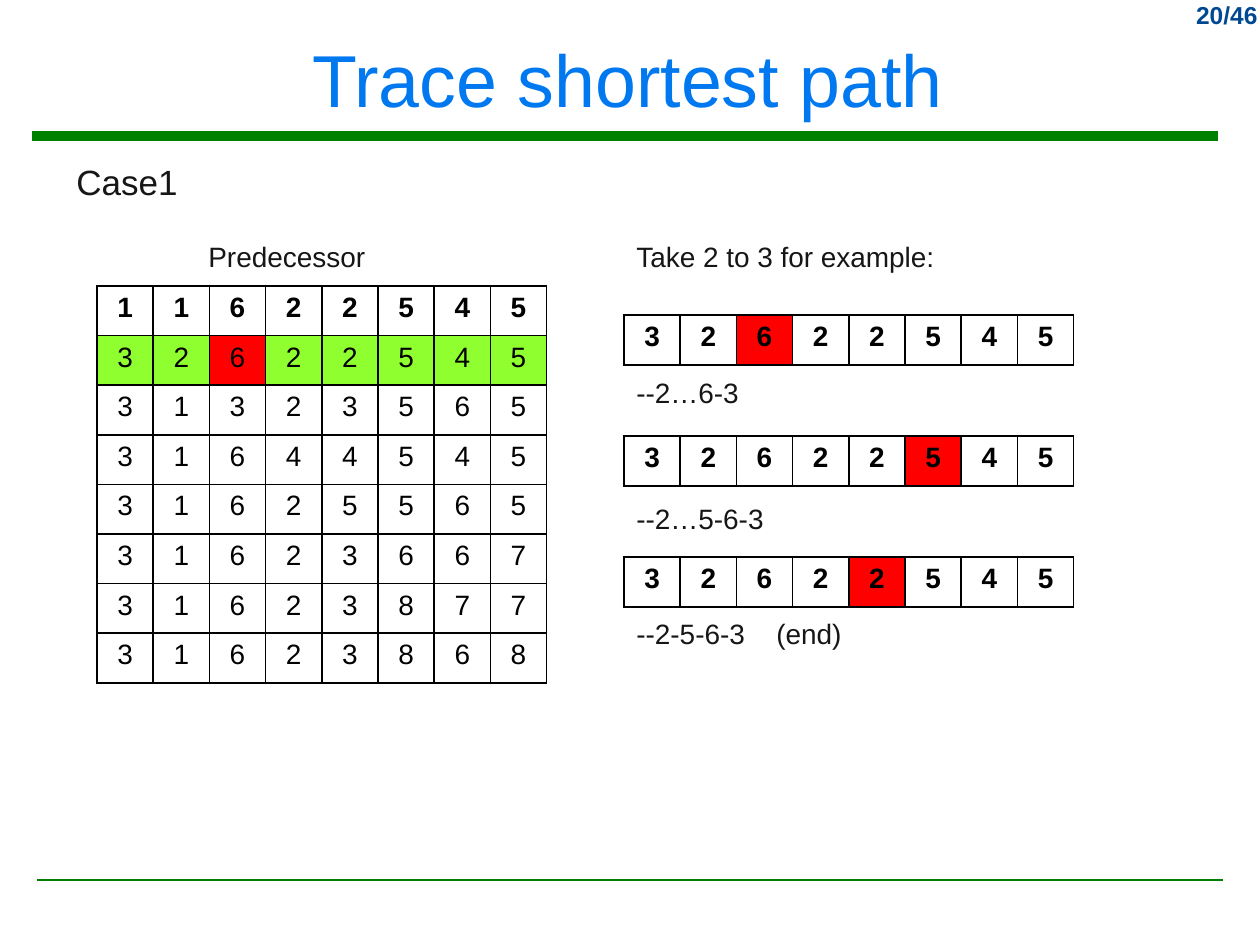
from dataclasses import dataclass

import pptx
import pptx.dml.color
import pptx.enum.shapes
import pptx.enum.text
import pptx.oxml
import pptx.oxml.ns
import pptx.util

EMU_PER_PX = 914400 / 126
ALIGN = pptx.enum.text.PP_ALIGN
ANCHOR = pptx.enum.text.MSO_ANCHOR
NS = pptx.oxml.ns.nsdecls("a")


@dataclass(frozen=True)
class Theme:
    font: str = "Arial"
    title: str = "0078F0"
    text: str = "161616"
    cell: str = "000000"
    page: str = "004992"
    rule: str = "008000"
    row_mark: str = "8FFF30"
    cell_mark: str = "FF0000"
    title_size: int = 42
    heading_size: int = 20
    body_size: int = 16
    page_size: int = 14


THEME = Theme()

PREDECESSORS = [
    "11622545",
    "32622545",
    "31323565",
    "31644545",
    "31625565",
    "31623667",
    "31623877",
    "31623868",
]
MARKED_ROW = 1
MARKED_COL = 2

STEPS = [
    (315, 2, 369, 130, "--2…6-3"),
    (436, 5, 495, 155, "--2…5-6-3"),
    (557, 4, 610, 233, "--2-5-6-3\t(end)"),
]


def px(n):
    return pptx.util.Emu(round(n * EMU_PER_PX))


def rgb(color):
    return pptx.dml.color.RGBColor.from_string(color)


def write(tf, text, size=THEME.body_size, color=THEME.text, bold=False,
          align=ALIGN.LEFT, tab=None):
    p = tf.paragraphs[0]
    p.alignment = align
    if tab:
        p._p.get_or_add_pPr().append(pptx.oxml.parse_xml(
            f'<a:tabLst {NS}><a:tab pos="{px(tab)}" algn="l"/></a:tabLst>'))
    r = p.add_run()
    r.text = text
    r.font.name = THEME.font
    r.font.size = pptx.util.Pt(size)
    r.font.bold = bold
    r.font.color.rgb = rgb(color)


def add_text(s, x, y, w, h, text, wrap=False, **fmt):
    tf = s.shapes.add_textbox(px(x), px(y), px(w), px(h)).text_frame
    tf.word_wrap = wrap
    tf.auto_size = pptx.enum.text.MSO_AUTO_SIZE.SHAPE_TO_FIT_TEXT
    write(tf, text, **fmt)


def add_title(s, text):
    sp = s.shapes.title
    sp.left, sp.top, sp.width, sp.height = px(10), px(11), px(1235), px(134)
    sp.text_frame.vertical_anchor = ANCHOR.MIDDLE
    write(sp.text_frame, text, size=THEME.title_size, color=THEME.title,
          align=ALIGN.CENTER)


def add_rule(s, x1, x2, y, width):
    line = s.shapes.add_connector(
        pptx.enum.shapes.MSO_CONNECTOR.STRAIGHT, px(x1), px(y), px(x2), px(y))
    line.line.color.rgb = rgb(THEME.rule)
    line.line.width = pptx.util.Pt(width)
    line._element.spPr.append(pptx.oxml.parse_xml(f"<a:effectLst {NS}/>"))


def format_cell(cell, fill):
    if fill:
        cell.fill.solid()
        cell.fill.fore_color.rgb = rgb(fill)
    else:
        cell.fill.background()
    tc_pr = cell._tc.get_or_add_tcPr()
    for i, side in enumerate(("lnL", "lnR", "lnT", "lnB")):
        tc_pr.insert(i, pptx.oxml.parse_xml(
            f'<a:{side} {NS} w="{pptx.util.Pt(1)}"><a:solidFill>'
            f'<a:srgbClr val="{THEME.cell}"/></a:solidFill></a:{side}>'))


def add_grid(s, x, y, w, h, rows, fills):
    table = s.shapes.add_table(
        len(rows), len(rows[0]), px(x), px(y), px(w), px(h)).table
    table.first_row = False
    table.horz_banding = False
    for i, row in enumerate(rows):
        for j, value in enumerate(row):
            cell = table.cell(i, j)
            format_cell(cell, fills.get((i, j)))
            write(cell.text_frame, value, color=THEME.cell, bold=i == 0,
                  align=ALIGN.CENTER)


def add_predecessors(s):
    fills = {(MARKED_ROW, j): THEME.row_mark
             for j in range(len(PREDECESSORS[MARKED_ROW]))}
    fills[MARKED_ROW, MARKED_COL] = THEME.cell_mark
    add_text(s, 196, 233, 184, 47, "Predecessor")
    add_grid(s, 97, 286, 450, 397, PREDECESSORS, fills)


def add_steps(s):
    add_text(s, 624, 233, 328, 47, "Take 2 to 3 for example:")
    for grid_y, col, text_y, text_w, trace in STEPS:
        add_grid(s, 624, grid_y, 450, 50, [PREDECESSORS[MARKED_ROW]],
                 {(0, col): THEME.cell_mark})
        add_text(s, 624, text_y, text_w, 47, trace,
                 tab=140 if "\t" in trace else None)


def main():
    prs = pptx.Presentation()
    prs.slide_width, prs.slide_height = px(1260), px(945)
    s = prs.slides.add_slide(prs.slide_layouts[5])
    add_rule(s, 32, 1218, 136, 5.25)
    add_rule(s, 37, 1223, 880, 1)
    add_text(s, 1155, -6, 115, 42, "20/46", wrap=True, size=THEME.page_size,
             color=THEME.page, bold=True, align=ALIGN.RIGHT)
    add_title(s, "Trace shortest path")
    add_text(s, 64, 154, 127, 55, "Case1", size=THEME.heading_size)
    add_predecessors(s)
    add_steps(s)
    prs.save("out.pptx")


if __name__ == "__main__":
    main()
